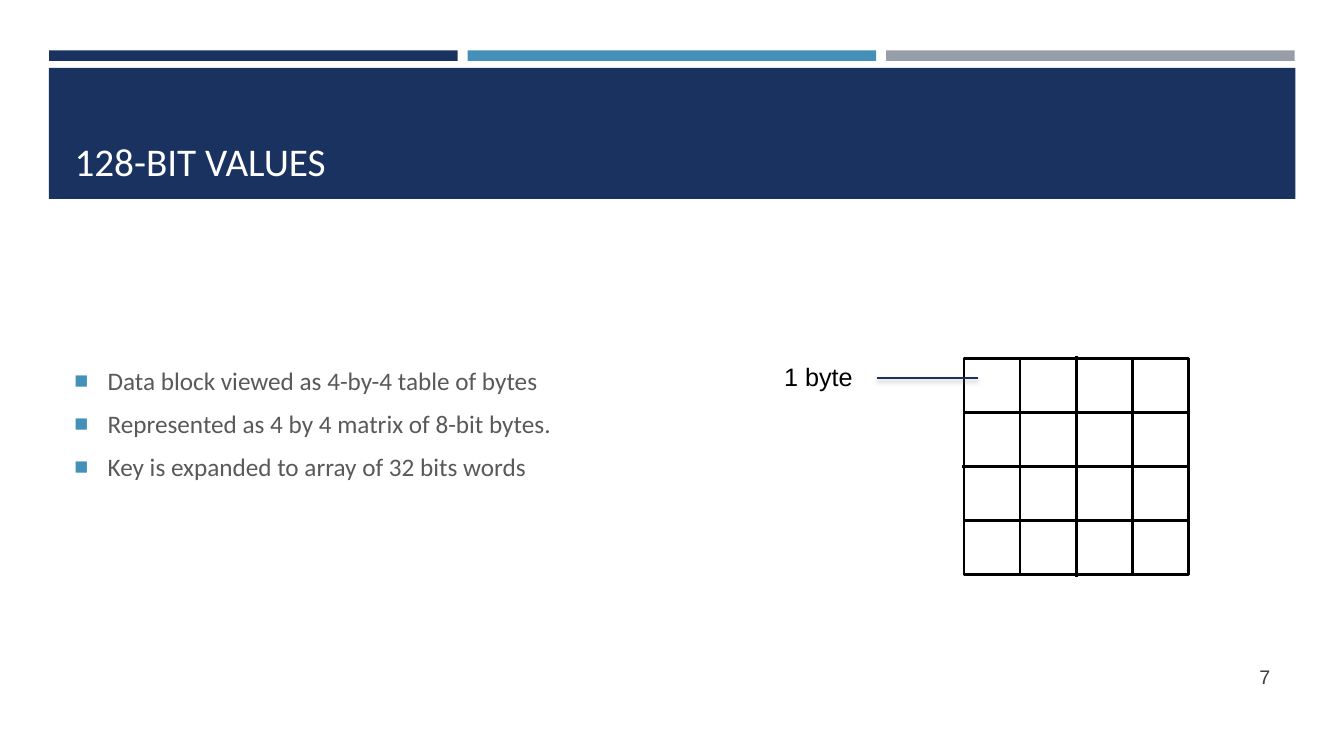
from dataclasses import dataclass
from typing import Optional

from lxml import etree
from pptx import Presentation
from pptx.dml.color import RGBColor
from pptx.enum.shapes import MSO_CONNECTOR, MSO_SHAPE
from pptx.enum.text import MSO_ANCHOR, MSO_AUTO_SIZE, PP_ALIGN
from pptx.oxml.ns import qn
from pptx.util import Emu, Inches, Pt

RECTANGLE = MSO_SHAPE.RECTANGLE
STRAIGHT = MSO_CONNECTOR.STRAIGHT
LEFT, RIGHT = PP_ALIGN.LEFT, PP_ALIGN.RIGHT
TOP, MIDDLE, BOTTOM = MSO_ANCHOR.TOP, MSO_ANCHOR.MIDDLE, MSO_ANCHOR.BOTTOM

SLIDE_WIDTH, SLIDE_HEIGHT = Inches(13.33), Inches(7.5)
TITLE_ONLY = 5
NAVY, BLUE, GREY = "1A3260", "4590B8", "969FA7"
WHITE, BLACK, BODY_GREY, NUMBER_GREY = "FFFFFF", "000000", "595959", "3D3D3D"

BAR_LEFT, BAR_PITCH, BAR_WIDTH = 3.65, 31.14, 30.4
GRID_LEFT, GRID_TOP = 71.73, 47.4
CELL_WIDTH, CELL_HEIGHT = 4.17, 7.15
OVERHANG_X, OVERHANG_Y = 0.15, 0.3
BULLETS = [
    "Data block viewed as 4-by-4 table of bytes",
    "Represented as 4 by 4 matrix of 8-bit bytes.",
    "Key is expanded to array of 32 bits words",
]


@dataclass
class Box:
    """Position and size in percent of the slide's width and height."""
    left: float
    top: float
    width: float
    height: float

    def lengths(self) -> tuple:
        return (across(self.left), down(self.top), across(self.width), down(self.height))


@dataclass
class Block:
    box: Box
    fill: Optional[str] = None
    outline: Optional[str] = None


@dataclass
class Rule:
    """Straight line whose ends are in percent of the slide."""
    start: tuple
    end: tuple
    color: str = BLACK
    width: float = 2
    shadowed: bool = False


def across(percent: float) -> Emu:
    return Emu(round(SLIDE_WIDTH * percent / 100))


def down(percent: float) -> Emu:
    return Emu(round(SLIDE_HEIGHT * percent / 100))


def color_of(value: str) -> RGBColor:
    return RGBColor.from_string(value)


def draw_block(slide, block: Block) -> None:
    shape = slide.shapes.add_shape(RECTANGLE, *block.box.lengths())
    shape.shadow.inherit = False
    if block.fill:
        shape.fill.solid()
        shape.fill.fore_color.rgb = color_of(block.fill)
    else:
        shape.fill.background()
    if block.outline:
        shape.line.color.rgb = color_of(block.outline)
        shape.line.width = Pt(2)
    else:
        shape.line.fill.background()


def draw_rule(slide, rule: Rule) -> None:
    (start_x, start_y), (end_x, end_y) = rule.start, rule.end
    connector = slide.shapes.add_connector(
        STRAIGHT, across(start_x), down(start_y), across(end_x), down(end_y))
    connector.line.color.rgb = color_of(rule.color)
    connector.line.width = Pt(rule.width)
    effects = etree.SubElement(connector.element.spPr, qn("a:effectLst"))
    if rule.shadowed:
        shadow = etree.SubElement(effects, qn("a:outerShdw"), blurRad=str(Pt(3)),
                                  dist=str(Pt(2)), dir="5400000", rotWithShape="0")
        shade = etree.SubElement(shadow, qn("a:srgbClr"), val="808080")
        etree.SubElement(shade, qn("a:alpha"), val="40000")


def add_bullet(paragraph) -> None:
    properties = paragraph._p.get_or_add_pPr()
    properties.set("marL", str(Inches(0.33)))
    properties.set("indent", str(-Inches(0.33)))
    bullet_color = etree.SubElement(properties, qn("a:buClr"))
    etree.SubElement(bullet_color, qn("a:srgbClr"), val=BLUE)
    etree.SubElement(properties, qn("a:buSzPct"), val="92000")
    etree.SubElement(properties, qn("a:buFont"), typeface="Arial")
    etree.SubElement(properties, qn("a:buChar"), char="■")


def write_text(shape, lines: list, *, size: float, font: str, color: str,
               align=LEFT, anchor=TOP, wrap: bool = True, bulleted: bool = False) -> None:
    frame = shape.text_frame
    frame.auto_size = MSO_AUTO_SIZE.NONE
    frame.word_wrap = wrap
    frame.vertical_anchor = anchor
    for index, line in enumerate(lines):
        paragraph = frame.paragraphs[0] if index == 0 else frame.add_paragraph()
        paragraph.alignment = align
        if bulleted:
            paragraph.space_before = Pt(3 if index else 0)
            paragraph.space_after = Pt(6)
            add_bullet(paragraph)
        run = paragraph.add_run()
        run.text = line
        run.font.size = Pt(size)
        run.font.name = font
        run.font.color.rgb = color_of(color)


def add_text(slide, box: Box, lines: list, **text_format) -> None:
    write_text(slide.shapes.add_textbox(*box.lengths()), lines, **text_format)


def draw_header(slide) -> None:
    for index, fill in enumerate((NAVY, BLUE, GREY)):
        draw_block(slide, Block(Box(BAR_LEFT + index * BAR_PITCH, 6.67, BAR_WIDTH, 1.4), fill))
    draw_block(slide, Block(Box(3.64, 8.97, 92.75, 17.33), NAVY))
    title = slide.shapes.title
    title.left, title.top, title.width, title.height = Box(4.8, 10.27, 90.4, 14.8).lengths()
    write_text(title, ["128-BIT VALUES"], size=28, font="Calibri", color=WHITE, anchor=BOTTOM)
    # The title lies above its band
    slide.shapes._spTree.append(title.element)


def draw_byte_grid(slide) -> None:
    """Four by four cells: nested outlines give the odd lines, two rules the middle ones."""
    width, height = 4 * CELL_WIDTH, 4 * CELL_HEIGHT
    middle_x, middle_y = GRID_LEFT + width / 2, GRID_TOP + height / 2
    draw_block(slide, Block(Box(GRID_LEFT, GRID_TOP, width, height), WHITE, BLACK))
    draw_block(slide, Block(Box(GRID_LEFT + CELL_WIDTH, GRID_TOP, width / 2, height),
                            WHITE, BLACK))
    draw_rule(slide, Rule((middle_x, GRID_TOP - OVERHANG_Y),
                          (middle_x, GRID_TOP + height + OVERHANG_Y)))
    draw_block(slide, Block(Box(GRID_LEFT, GRID_TOP + CELL_HEIGHT, width, height / 2),
                            outline=BLACK))
    draw_rule(slide, Rule((GRID_LEFT - OVERHANG_X, middle_y),
                          (GRID_LEFT + width + OVERHANG_X, middle_y)))


def main() -> None:
    presentation = Presentation()
    presentation.slide_width, presentation.slide_height = SLIDE_WIDTH, SLIDE_HEIGHT
    slide = presentation.slides.add_slide(presentation.slide_layouts[TITLE_ONLY])
    draw_header(slide)
    add_text(slide, Box(4.8, 31.73, 90.4, 48.53), BULLETS, size=18, font="Calibri",
             color=BODY_GREY, anchor=MIDDLE, bulleted=True)
    add_text(slide, Box(86.6, 86.8, 8.65, 5.33), ["7"], size=14, font="Arial",
             color=NUMBER_GREY, align=RIGHT, anchor=MIDDLE)
    draw_byte_grid(slide)
    add_text(slide, Box(57.6, 47.07, 6.7, 5.33), ["1 byte"], size=18, font="Arial",
             color=BLACK, wrap=False)
    draw_rule(slide, Rule((65.25, 50), (72.75, 50), NAVY, 1.5, shadowed=True))
    presentation.save("out.pptx")


if __name__ == "__main__":
    main()
